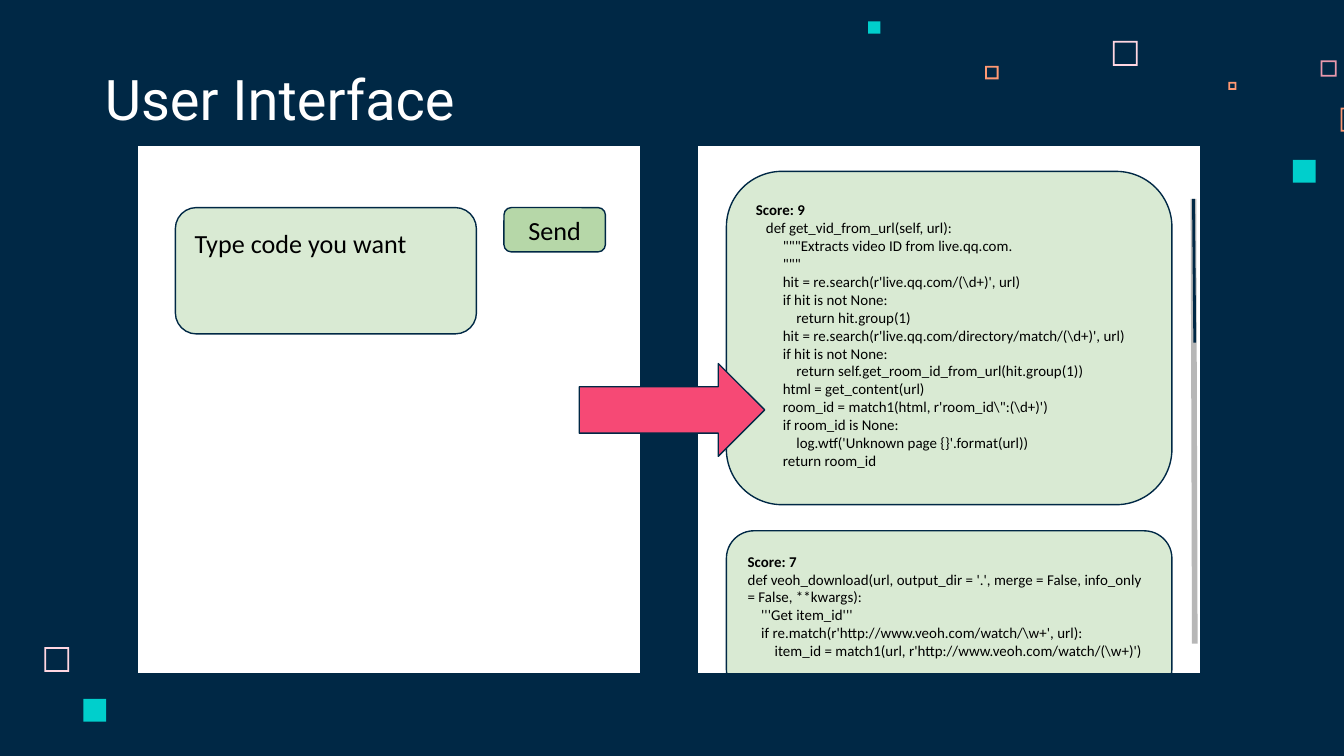
from lxml import etree
from pptx import Presentation
from pptx.dml.color import RGBColor as RGB
from pptx.enum.shapes import MSO_CONNECTOR as CXN, MSO_SHAPE as SHAPE
from pptx.enum.text import MSO_ANCHOR as ANCHOR, PP_ALIGN as ALIGN
from pptx.oxml.ns import qn
from pptx.util import Inches, Pt

C = {
    "navy": "002845", "white": "FFFFFF", "black": "000000",
    "pale": "D9EAD3", "green": "B6D7A8", "arrow": "F64975", "grey": "B7B7B7",
    "pink": "FFD6E1", "rose": "E898AC", "orange": "FF9973", "teal": "00CFCC",
}

prs = Presentation()
prs.slide_width = Inches(10)
prs.slide_height = prs.slide_width * 9 // 16
U = prs.slide_width / 100  # grid cell: 100 columns, square cells
s = prs.slides.add_slide(prs.slide_layouts[5])
s.background.fill.solid()
s.background.fill.fore_color.rgb = RGB.from_string(C["navy"])


def add(kind, col, row, cols, rows, fill, line="navy"):
    """Add a preset shape placed in grid cells."""
    sp = s.shapes.add_shape(kind, *(int(v * U) for v in (col, row, cols, rows)))
    sp.shadow.inherit = False
    sp.fill.solid()
    sp.fill.fore_color.rgb = RGB.from_string(C[fill])
    if line:
        sp.line.color.rgb = RGB.from_string(C[line])
        sp.line.width = Pt(0.75)
    else:
        sp.line.fill.background()
    return sp


def write(sp, lines, size, color="black", font="Calibri", align=ALIGN.LEFT,
          anchor=ANCHOR.TOP, bold_first=False):
    """Write one paragraph per line into a shape."""
    tf = sp.text_frame
    tf.word_wrap = True
    tf.vertical_anchor = anchor
    tf.margin_left = tf.margin_right = tf.margin_top = tf.margin_bottom = Inches(0.1)
    for i, line in enumerate(lines):
        p = tf.paragraphs[0] if i == 0 else tf.add_paragraph()
        p.alignment = align
        r = p.add_run()
        r.text = line
        r.font.size, r.font.name = Pt(size), font
        r.font.bold = bold_first and i == 0
        r.font.color.rgb = RGB.from_string(C[color])


# Decorative squares: outlined (column, row, size, colour), then filled
for col, row, size, color in [
    (82.8, 3.05, 1.85, "pink"), (98.25, 4.5, 1.2, "rose"), (91.4, 6.1, 0.6, "orange"),
    (99.75, 8, 1.8, "orange"), (73.3, 4.9, 1, "orange"), (3.3, 48.15, 1.85, "pink"),
]:
    sp = add(SHAPE.FRAME, col, row, size, size, color, line=None)
    sp.adjustments[0] = 0.13 / size
for col, row, size in [(96.2, 11.9, 1.7), (64.6, 1.6, 0.9), (6.2, 52, 1.7)]:
    add(SHAPE.RECTANGLE, col, row, size, size, "teal", line=None)

# Title
title = s.shapes.title
title.left, title.top, title.width, title.height = (
    int(v * U) for v in (6.8, 4.5, 51.7, 6.3))
write(title, ["User Interface"], 30, color="white", font="Roboto", anchor=ANCHOR.BOTTOM)

# Two white screens
for col in (10.2, 51.9):
    add(SHAPE.RECTANGLE, col, 10.8, 37.45, 39.3, "white")

# Query screen
query = add(SHAPE.ROUNDED_RECTANGLE, 13.05, 15.45, 22.4, 9.4, "pale")
write(query, ["Type code you want"], 14)
send = add(SHAPE.ROUNDED_RECTANGLE, 37.5, 15.45, 7.55, 3.3, "green")
write(send, ["Send"], 14, align=ALIGN.CENTER, anchor=ANCHOR.MIDDLE)

# Result screen: row, height, code
results = [
    (12.75, 24.8, [
        "Score: 9",
        "   def get_vid_from_url(self, url):",
        '        """Extracts video ID from live.qq.com.',
        '        """',
        r"        hit = re.search(r'live.qq.com/(\d+)', url)",
        "        if hit is not None:",
        "            return hit.group(1)",
        r"        hit = re.search(r'live.qq.com/directory/match/(\d+)', url)",
        "        if hit is not None:",
        "            return self.get_room_id_from_url(hit.group(1))",
        "        html = get_content(url)",
        r"""        room_id = match1(html, r'room_id\":(\d+)')""",
        "        if room_id is None:",
        "            log.wtf('Unknown page {}'.format(url))",
        "        return room_id",
    ]),
    (39.5, 12.3, [
        "Score: 7",
        "def veoh_download(url, output_dir = '.', merge = False, info_only = False, **kwargs):",
        "    '''Get item_id'''",
        r"    if re.match(r'http://www.veoh.com/watch/\w+', url):",
        r"        item_id = match1(url, r'http://www.veoh.com/watch/(\w+)')",
    ]),
]
for row, rows, code in results:
    card = add(SHAPE.ROUNDED_RECTANGLE, 54.05, row, 33.15, rows, "pale")
    write(card, code, 8, bold_first=True)

# Band that cuts the second card off at the screen's lower edge
add(SHAPE.RECTANGLE, 50.6, 50.1, 47.2, 6, "navy")

# Arrow between the screens
add(SHAPE.RIGHT_ARROW, 43.1, 27.05, 13.8, 6.9, "arrow")

# Scroll bar: track, then thumb
for end_row, color, width in [(47.9, "grey", 3), (25.5, "navy", 1.5)]:
    bar = s.shapes.add_connector(
        CXN.STRAIGHT, *(int(v * U) for v in (88.8, 14.8, 88.9, end_row)))
    bar.line.color.rgb = RGB.from_string(C[color])
    bar.line.width = Pt(width)
    etree.SubElement(bar._element.spPr, qn("a:effectLst"))

prs.save("out.pptx")
